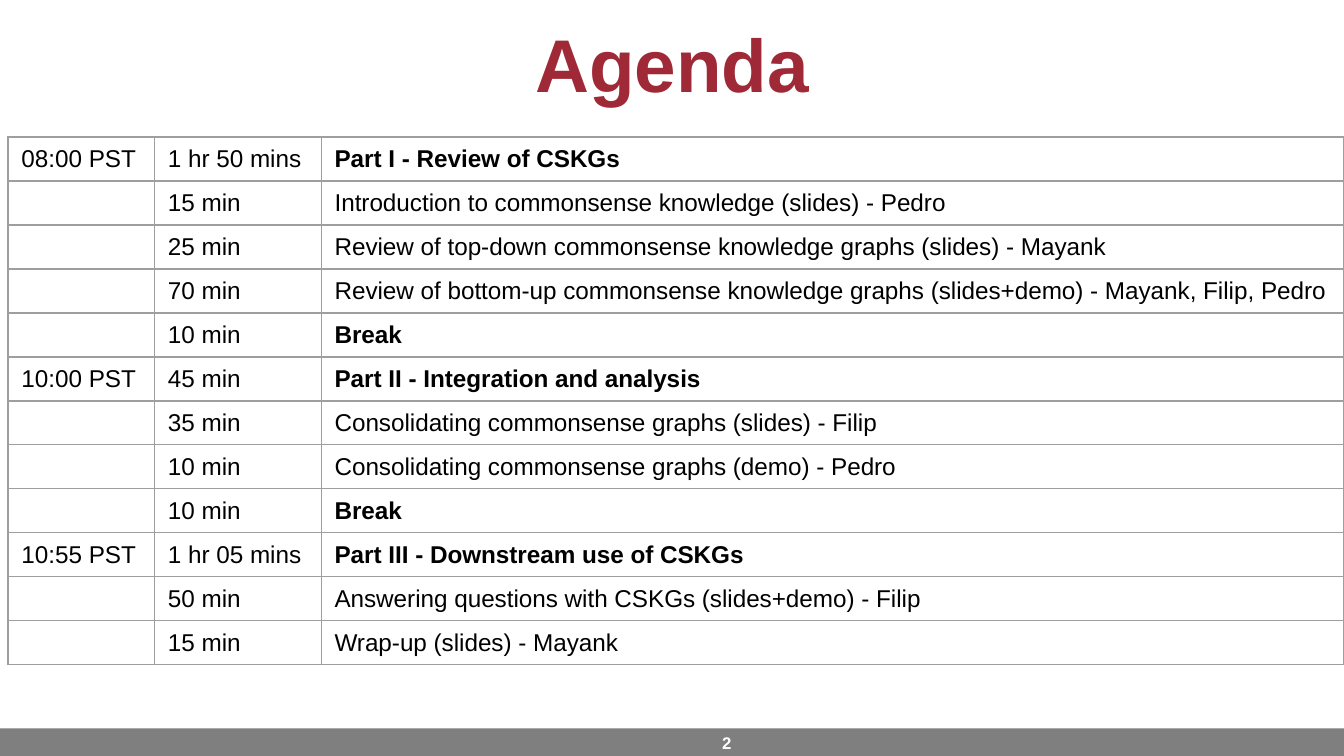
from lxml.etree import SubElement
from pptx import Presentation
from pptx.dml.color import RGBColor
from pptx.enum.shapes import MSO_SHAPE
from pptx.enum.text import MSO_ANCHOR, PP_ALIGN
from pptx.oxml.ns import qn
from pptx.util import Inches, Pt

WIDTH = Inches(10)
HEIGHT = WIDTH * 9 // 16
FONT = "Arial"
RED = RGBColor(0x9F, 0x29, 0x36)
GRAY = RGBColor(0x7F, 0x7F, 0x7F)
BORDER = RGBColor(0x9E, 0x9E, 0x9E)
BLACK = RGBColor(0, 0, 0)
WHITE = RGBColor(0xFF, 0xFF, 0xFF)

COLUMNS = [Inches(w) for w in (1.09, 1.24, 7.61)]
TABLE_LEFT = WIDTH - sum(COLUMNS)
TABLE_HEIGHT = Inches(3.93)

# Start, duration, topic, whether the topic is a heading
AGENDA = [
    ("08:00 PST", "1 hr 50 mins", "Part I - Review of CSKGs", True),
    ("", "15 min", "Introduction to commonsense knowledge (slides) - Pedro", False),
    ("", "25 min", "Review of top-down commonsense knowledge graphs (slides) - Mayank", False),
    ("", "70 min", "Review of bottom-up commonsense knowledge graphs (slides+demo)"
                   " - Mayank, Filip, Pedro", False),
    ("", "10 min", "Break", True),
    ("10:00 PST", "45 min", "Part II - Integration and analysis", True),
    ("", "35 min", "Consolidating commonsense graphs (slides) - Filip", False),
    ("", "10 min", "Consolidating commonsense graphs (demo) - Pedro", False),
    ("", "10 min", "Break", True),
    ("10:55 PST", "1 hr 05 mins", "Part III - Downstream use of CSKGs", True),
    ("", "50 min", "Answering questions with CSKGs (slides+demo) - Filip", False),
    ("", "15 min", "Wrap-up (slides) - Mayank", False),
]


def add_run(p, text, size, color, bold):
    r = p.add_run()
    r.text = text
    r.font.name, r.font.size, r.font.bold = FONT, Pt(size), bold
    r.font.color.rgb = color


def add_label(s, box, text, size, color, align):
    tf = s.shapes.add_textbox(*box).text_frame
    tf.word_wrap = True
    tf.vertical_anchor = MSO_ANCHOR.MIDDLE
    p = tf.paragraphs[0]
    p.alignment = align
    add_run(p, text, size, color, True)


def add_footer(s):
    sp = s.shapes.add_shape(MSO_SHAPE.RECTANGLE, 0, Inches(5.42), WIDTH, Inches(0.22))
    sp.shadow.inherit = False
    sp.fill.solid()
    sp.fill.fore_color.rgb = GRAY
    sp.line.fill.background()


def set_borders(cell):
    """Draw a thin line on all four sides; must run before the cell's fill is set."""
    tc_pr = cell._tc.get_or_add_tcPr()
    for side in ("a:lnL", "a:lnR", "a:lnT", "a:lnB"):
        ln = SubElement(tc_pr, qn(side), w=str(Pt(0.75)))
        fill = SubElement(ln, qn("a:solidFill"))
        SubElement(fill, qn("a:srgbClr"), val=str(BORDER))


def fill_cell(cell, text, bold):
    set_borders(cell)
    cell.fill.background()
    cell.vertical_anchor = MSO_ANCHOR.MIDDLE
    cell.margin_left = cell.margin_right = Inches(0.1)
    cell.margin_top = cell.margin_bottom = 0
    p = cell.text_frame.paragraphs[0]
    if text:
        add_run(p, text, 13, BLACK, bold)
    else:
        p.font.size = Pt(13)


def add_agenda(s):
    table = s.shapes.add_table(len(AGENDA), len(COLUMNS), TABLE_LEFT, Inches(1.02),
                               sum(COLUMNS), TABLE_HEIGHT).table
    table.first_row = table.horz_banding = False
    for column, width in zip(table.columns, COLUMNS):
        column.width = width
    for row, (start, duration, topic, heading) in zip(table.rows, AGENDA):
        row.height = TABLE_HEIGHT // len(AGENDA)
        bolds = (False, False, heading)
        for cell, text, bold in zip(row.cells, (start, duration, topic), bolds):
            fill_cell(cell, text, bold)


def main():
    prs = Presentation()
    prs.slide_width, prs.slide_height = WIDTH, HEIGHT
    s = prs.slides.add_slide(prs.slide_layouts[6])
    add_footer(s)
    add_label(s, (0, 0, WIDTH, Inches(0.93)), "Agenda", 40, RED, PP_ALIGN.CENTER)
    number_box = [Inches(v) for v in (5.09, 5.38, 0.45, 0.3)]
    add_label(s, number_box, "2", 9, WHITE, PP_ALIGN.RIGHT)
    add_agenda(s)
    prs.save("out.pptx")


if __name__ == "__main__":
    main()
